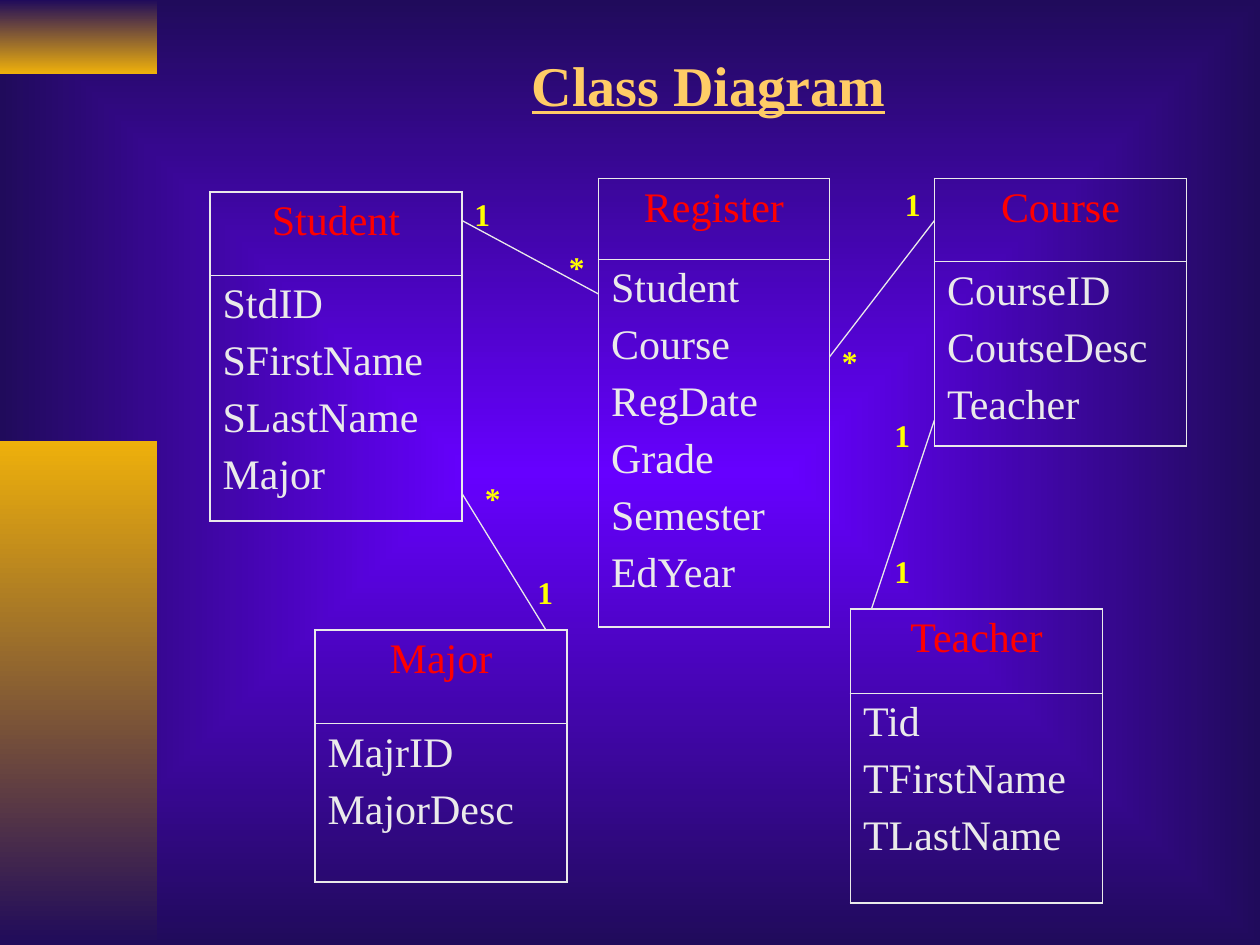
from lxml import etree
from pptx import Presentation, util as u
from pptx.dml.color import RGBColor
from pptx.enum import shapes, text
from pptx.oxml.ns import qn

PX = 7620
HUES = {"glow": "6600FF", "night": "200B5B", "gold": "EEB00B", "title": "FFCC66",
        "name": "FF0000", "pale": "EAEAEA", "mark": "FFFF00"}
FONTS = {
    "title": {"size": u.Pt(32), "bold": True, "underline": True},
    "name": {"size": u.Pt(24), "bold": False},
    "pale": {"size": u.Pt(24), "bold": False},
    "mark": {"size": u.Pt(18), "bold": True},
}


def px(*nums):
    return [u.Emu(n * PX) for n in nums]


def hue(key):
    return RGBColor.from_string(HUES[key])


def add(node, tag, **attrs):
    return etree.SubElement(node, qn(tag), attrs)


class Board:
    def __init__(self, deck):
        self.font = "Times New Roman"
        self.slide = deck.slides.add_slide(deck.slide_layouts[6])
        self.shapes = self.slide.shapes

    def blend(self, fill, start, end):
        fill.gradient()
        fill.gradient_angle = 270
        for stop, key, place in zip(fill.gradient_stops, (start, end), (0, 1)):
            stop.color.rgb = hue(key)
            stop.position = place

    def back(self, start, end):
        self.blend(self.slide.background.fill, start, end)
        grad = self.slide.element.find(".//" + qn("a:gradFill"))
        grad.remove(grad.find(qn("a:lin")))
        way = add(grad, "a:path", path="rect")
        add(way, "a:fillToRect", **dict.fromkeys("ltrb", "50000"))

    def block(self, box, start, end):
        shape = self.shapes.add_shape(shapes.MSO_SHAPE.RECTANGLE, *px(*box))
        shape.shadow.inherit = False
        shape.line.fill.background()
        self.blend(shape.fill, start, end)

    def words(self, frame, lines, style, align):
        for i, line in enumerate(lines):
            para = frame.paragraphs[0] if i == 0 else frame.add_paragraph()
            para.text = line
            para.alignment = align
            if i:
                para.space_before = u.Pt(6)
            for key, value in FONTS[style].items():
                setattr(para.font, key, value)
            para.font.name = self.font
            para.font.color.rgb = hue(style)

    def label(self, box, line, style, align=text.PP_ALIGN.LEFT, **form):
        frame = self.shapes.add_textbox(*px(*box)).text_frame
        form = {"word_wrap": True, **form}
        for key, value in form.items():
            setattr(frame, key, value)
        self.words(frame, [line], style, align)

    def edge(self, cell, thin):
        props = cell._tc.get_or_add_tcPr()
        for side in "LRTB":
            width = 0.45 if side == thin else 1.08
            line = add(props, "a:ln" + side, w=str(u.Pt(width)))
            add(add(line, "a:solidFill"), "a:srgbClr", val=HUES["pale"])

    def entity(self, left, top, width, rows, name, fields):
        frame = self.shapes.add_table(2, 1, *px(left, top, width, sum(rows)))
        table = frame.table
        table.first_row = table.horz_banding = False
        table.columns[0].width = px(width)[0]
        parts = [([name], "name", text.PP_ALIGN.CENTER, "B"),
                 (fields, "pale", text.PP_ALIGN.LEFT, "T")]
        for i, (lines, style, align, thin) in enumerate(parts):
            table.rows[i].height = px(rows[i])[0]
            cell = table.cell(i, 0)
            self.edge(cell, thin)
            cell.fill.background()
            self.words(cell.text_frame, lines, style, align)

    def link(self, *ends):
        line = self.shapes.add_connector(shapes.MSO_CONNECTOR.STRAIGHT, *px(*ends))
        line.line.width = u.Pt(0.75)
        line.line.color.rgb = hue("pale")
        add(line._element.spPr, "a:effectLst")


def main():
    deck = Presentation()
    deck.slide_width, deck.slide_height = px(1200, 900)
    board = Board(deck)
    board.back("glow", "night")
    board.block((0, 0, 150, 70), "night", "gold")
    board.block((0, 420, 150, 480), "gold", "night")
    board.label((200, 40, 950, 80), "Class Diagram", "title", text.PP_ALIGN.CENTER,
                vertical_anchor=text.MSO_ANCHOR.MIDDLE)

    for item in [
        (200, 183, 240, (79, 234), "Student",
         ["StdID", "SFirstName", "SLastName", "Major"]),
        (300, 600, 240, (89, 151), "Major", ["MajrID", "MajorDesc"]),
        (890, 170, 240, (79, 176), "Course", ["CourseID", "CoutseDesc", "Teacher"]),
        (810, 580, 240, (80, 200), "Teacher", ["Tid", "TFirstName", "TLastName"]),
        (570, 170, 220, (77, 350), "Register",
         ["Student", "Course", "RegDate", "Grade", "Semester", "EdYear"]),
    ]:
        board.entity(*item)

    for ends in [(440, 470, 520, 600), (440, 210, 570, 280),
                 (890, 210, 790, 340), (890, 400, 830, 580)]:
        board.link(*ends)

    for left, top, width, mark in [
        (450, 450, 40, "*"), (500, 540, 50, "1"), (440, 180, 40, "1"),
        (530, 230, 40, "*"), (850, 170, 40, "1"), (790, 320, 40, "*"),
        (840, 390, 50, "1"), (840, 520, 60, "1"),
    ]:
        board.label((left, top, width, 48), mark, "mark",
                    auto_size=text.MSO_AUTO_SIZE.SHAPE_TO_FIT_TEXT)

    deck.save("out.pptx")


if __name__ == "__main__":
    main()
